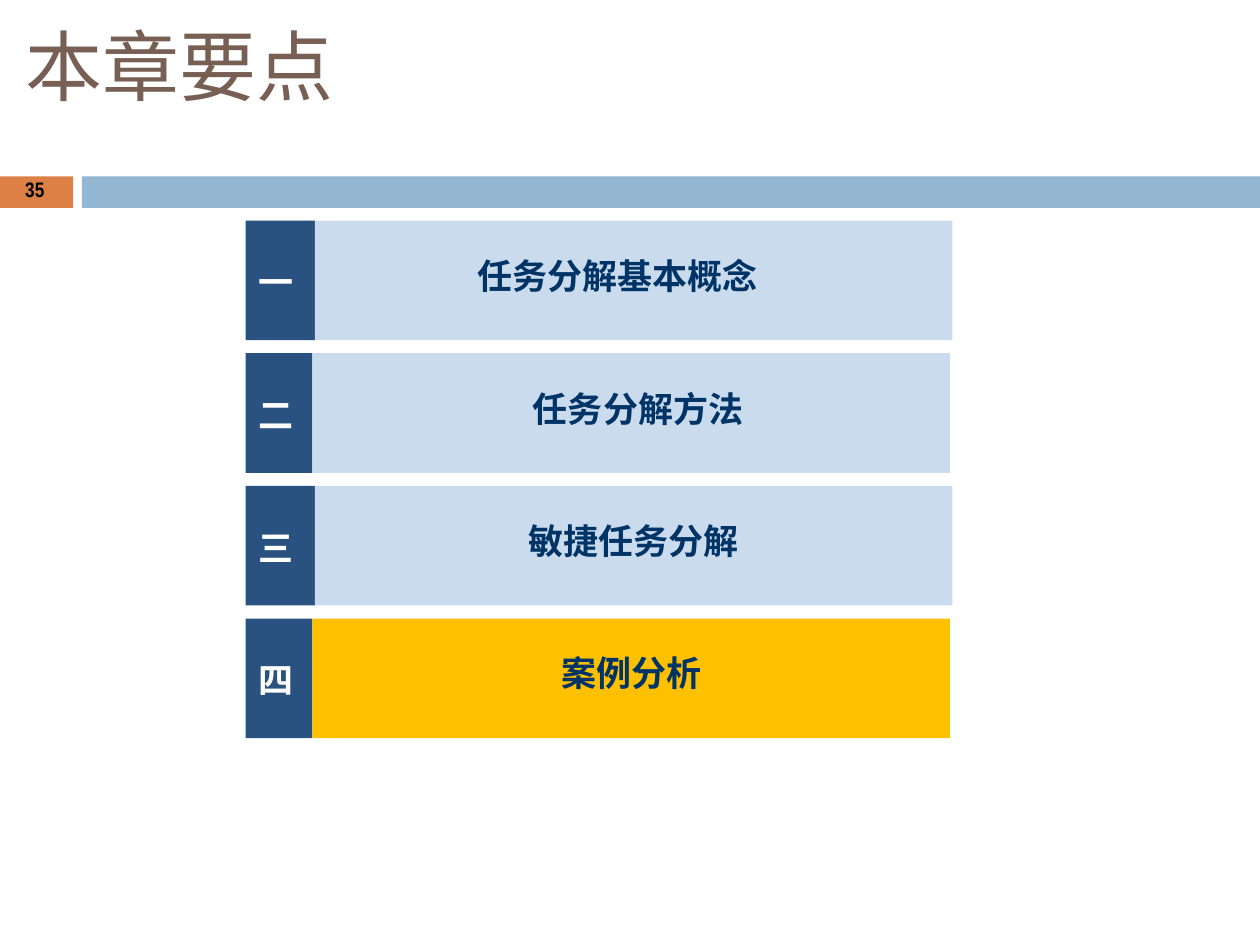
from pptx import Presentation
from pptx.dml.color import RGBColor
from pptx.enum.shapes import MSO_SHAPE
from pptx.enum.text import MSO_ANCHOR, PP_ALIGN
from pptx.oxml.ns import qn
from pptx.util import Inches, Pt

RECT = MSO_SHAPE.RECTANGLE
TOP = MSO_ANCHOR.TOP
LEFT, MID = PP_ALIGN.LEFT, PP_ALIGN.CENTER
CJK = "Noto Sans CJK SC"
NAVY, PALE, GOLD = "2A5280", "C9DBED", "FFC000"

TITLE = "本章要点"
PAGE = "35"
# number, topic, fill, label width, alignment, left inset, top inset
ROWS = [
    ("一", "任务分解基本概念", PALE, 0.55, LEFT, 1.29, 0.27),
    ("二", "任务分解方法", PALE, 0.53, MID, 0.11, 0.27),
    ("三", "敏捷任务分解", PALE, 0.55, MID, 0, 0.27),
    ("四", "案例分析", GOLD, 0.53, MID, 0, 0.26),
]
X, Y, PITCH = 1.95, 1.75, 1.053
WIDE, HIGH = 5.06, 0.95
BARS = [(0, 0.58, "DD8046"), (0.65, 9.35, "93B6D2")]


def rgb(code):
    return RGBColor.from_string(code)


def box(x, y, w, h, fill):
    shape = slide.shapes.add_shape(RECT, *map(Inches, (x, y, w, h)))
    shape.shadow.inherit = False
    shape.fill.solid()
    shape.fill.fore_color.rgb = rgb(fill)
    shape.line.fill.background()
    return shape


def write(shape, text, size, color, align=LEFT, left=0, top=0.01,
          bold=True, face=CJK):
    frame = shape.text_frame
    frame.word_wrap = True
    frame.vertical_anchor = TOP
    frame.margin_left, frame.margin_top = Inches(left), Inches(top)
    frame.margin_right = frame.margin_bottom = 0
    para = frame.paragraphs[0]
    para.text = text
    para.alignment = align
    font = para.font
    font.name, font.size, font.bold = face, Pt(size), bold
    font.color.rgb = rgb(color)
    # East Asian glyphs take their face from a:ea
    props = para._p.pPr.find(qn("a:defRPr"))
    east = props.makeelement(qn("a:ea"), {"typeface": face})
    props.find(qn("a:latin")).addnext(east)


deck = Presentation()
deck.slide_width, deck.slide_height = Inches(10), Inches(7.5)
slide = deck.slides.add_slide(deck.slide_layouts[5])

for x, w, fill in BARS:
    box(x, 1.4, w, 0.25, fill)

title = slide.shapes.title
title.left, title.top = Inches(0.2), Inches(0.15)
title.width, title.height = Inches(2.48), Inches(0.76)
write(title, TITLE, 44, "775F54", bold=False, top=0)

page = slide.shapes.add_textbox(*map(Inches, (0.2, 1.39, 0.18, 0.23)))
write(page, PAGE, 12, "000000", face="Arial Narrow")

for i, (num, topic, fill, w, align, left, top) in enumerate(ROWS):
    y = Y + i * PITCH
    label = box(X, y, w, HIGH, NAVY)
    write(label, num, 20, "FFFFFF", left=0.1, top=0.32)
    panel = box(X + w, y, WIDE, HIGH, fill)
    write(panel, topic, 20, "003366", align, left, top)

deck.save("out.pptx")
